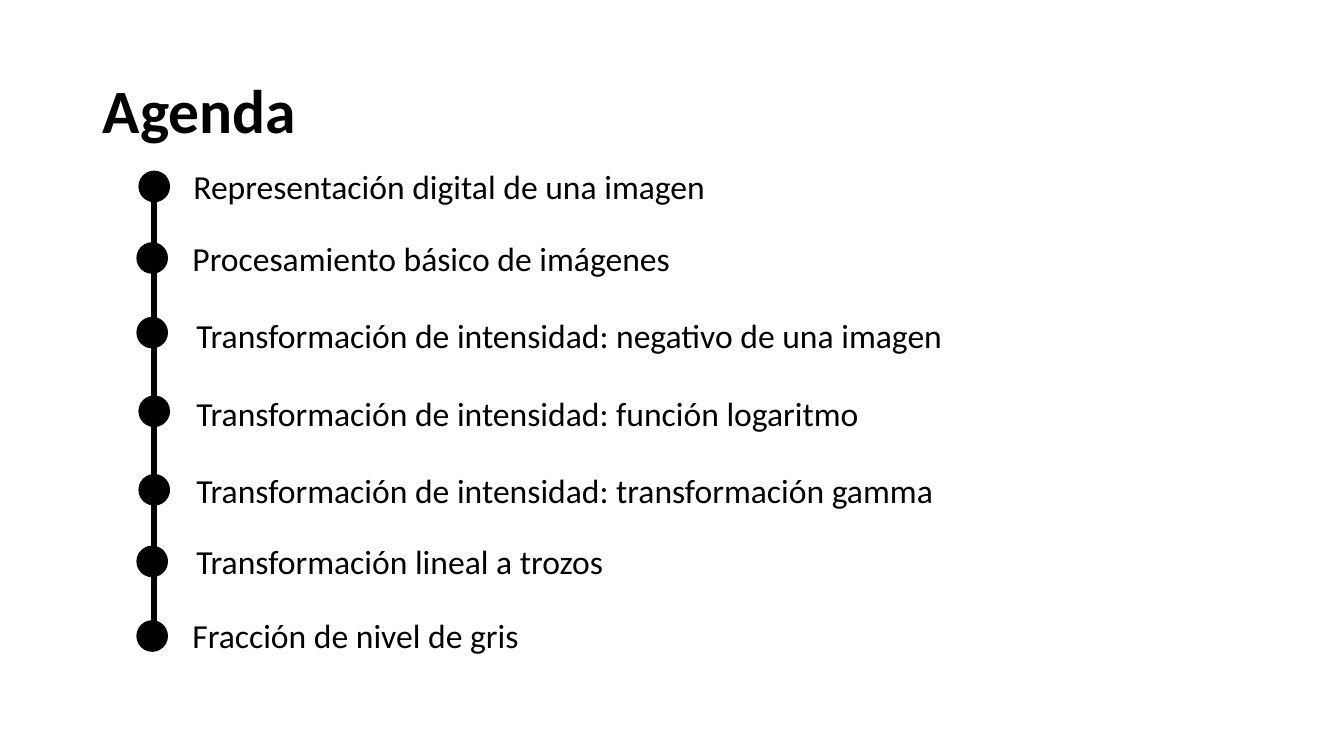
from lxml import etree
from pptx import Presentation
from pptx import util as u
from pptx.dml.color import RGBColor
from pptx.enum import shapes, text
from pptx.oxml.ns import qn

BLACK = RGBColor(0, 0, 0)
WHITE = RGBColor(255, 255, 255)
DOT = 0.3
ROW_H = 0.5

# Topic, dot left and top, label left, top and width (inches within the timeline box)
TOPICS = [
    ("Representación digital de una imagen", 0.02, 0.1, 0.46, 0, 5.4),
    ("Procesamiento básico de imágenes", 0, 0.81, 0.45, 0.71, 4.98),
    ("Transformación de intensidad: negativo de una imagen", 0, 1.55, 0.49, 1.48, 7.66),
    ("Transformación de intensidad: función logaritmo", 0.02, 2.33, 0.49, 2.25, 6.83),
    ("Transformación de intensidad: transformación gamma", 0.02, 3.11, 0.49, 3.01, 7.58),
    ("Transformación lineal a trozos", 0, 3.82, 0.49, 3.72, 4.27),
    ("Fracción de nivel de gris", 0, 4.56, 0.45, 4.45, 3.47),
]


def inches(*lengths):
    return [u.Inches(n) for n in lengths]


def set_text(tf, words, size, bold=False):
    p = tf.paragraphs[0]
    p.alignment = text.PP_ALIGN.LEFT
    r = p.add_run()
    r.text = words
    r.font.color.rgb = BLACK
    for name, value in {"name": "Calibri", "size": u.Pt(size), "bold": bold}.items():
        setattr(r.font, name, value)
    return p


def add_title(s, x, y, w, h):
    title = s.shapes.title
    title.left, title.top, title.width, title.height = inches(x, y, w, h)
    tf = title.text_frame
    tf.auto_size = text.MSO_AUTO_SIZE.NONE
    tf.vertical_anchor = text.MSO_ANCHOR.MIDDLE
    set_text(tf, "Agenda", 44, True).line_spacing = 0.9


def add_stem(s, x, top, bottom):
    line = s.shapes.add_connector(
        shapes.MSO_CONNECTOR.STRAIGHT, *inches(x, top, x, bottom))
    line.line.color.rgb = BLACK
    line.line.width = u.Pt(4.5)
    etree.SubElement(line._element.spPr, qn("a:effectLst"))


def add_dot(s, x, y):
    dot = s.shapes.add_shape(shapes.MSO_SHAPE.OVAL, *inches(x, y, DOT, DOT))
    dot.shadow.inherit = False
    dot.fill.solid()
    dot.fill.fore_color.rgb = BLACK
    dot.line.color.rgb = BLACK
    dot.line.width = u.Pt(1)


def add_label(s, words, x, y, w):
    tf = s.shapes.add_textbox(*inches(x, y, w, ROW_H)).text_frame
    tf.word_wrap = False
    tf.auto_size = text.MSO_AUTO_SIZE.SHAPE_TO_FIT_TEXT
    set_text(tf, words, 24)


def add_timeline(s, x, y):
    # Vertical stem behind the dots
    add_stem(s, x + 0.17, y + 0.25, y + 4.75)
    # One dot and label per topic
    for words, dot_x, dot_y, label_x, label_y, w in TOPICS:
        add_dot(s, x + dot_x, y + dot_y)
        add_label(s, words, x + label_x, y + label_y, w)


def main():
    prs = Presentation()
    prs.slide_width, prs.slide_height = inches(13.33, 7.5)
    s = prs.slides.add_slide(prs.slide_layouts[5])
    s.background.fill.solid()
    s.background.fill.fore_color.rgb = WHITE
    add_title(s, 0.92, 0.4, 11.5, 1.45)
    add_timeline(s, 1.36, 1.6)
    prs.save("out.pptx")


if __name__ == "__main__":
    main()
